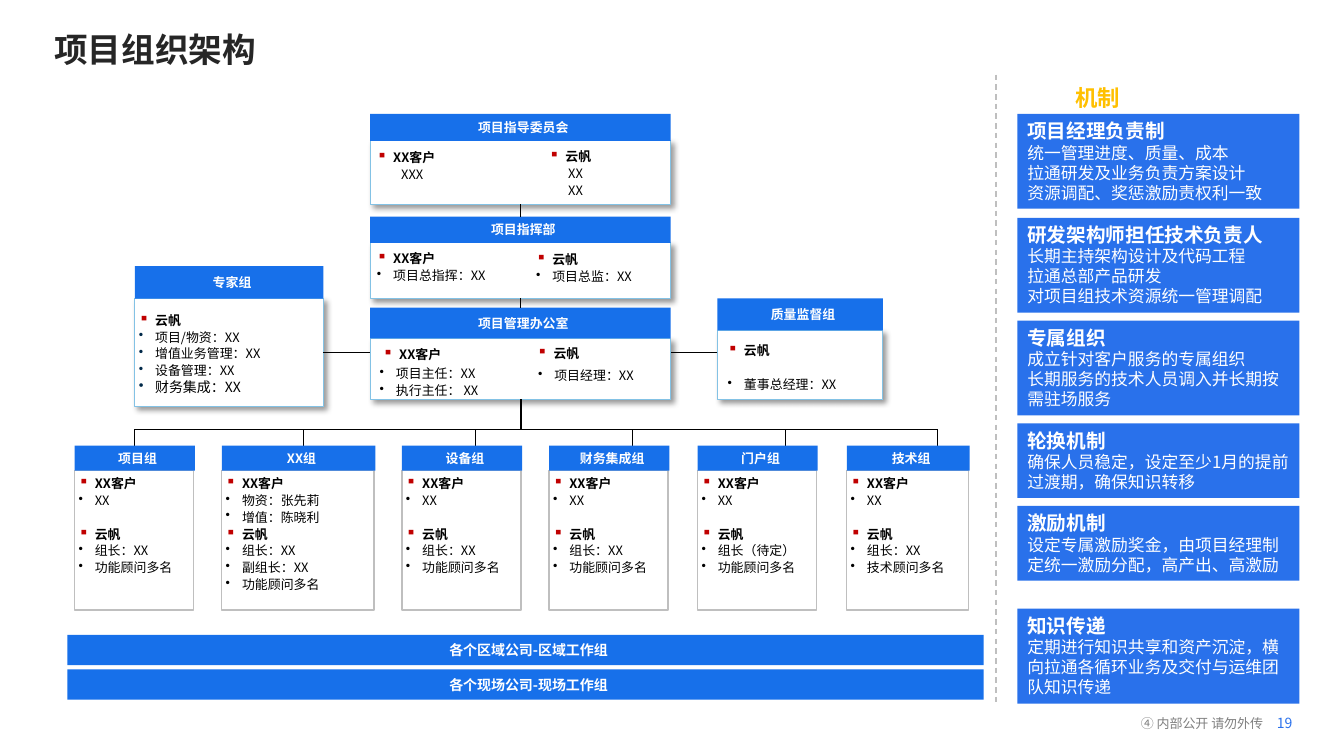
from lxml.etree import SubElement
from pptx import Presentation
from pptx.dml.color import RGBColor
from pptx.enum.dml import MSO_LINE
from pptx.enum.shapes import MSO_CONNECTOR as LINK, MSO_SHAPE
from pptx.enum.text import MSO_ANCHOR as ANCHOR, PP_ALIGN as ALIGN
from pptx.oxml.ns import qn
from pptx.util import Cm, Pt

FONT = "Noto Sans CJK SC"
HEADER_BLUE = RGBColor(0x17, 0x70, 0xEA)
CARD_BLUE = RGBColor(0x29, 0x71, 0xEB)
PAGE_BLUE = RGBColor(0x2A, 0x71, 0xEC)
EDGE_BLUE = RGBColor(0x83, 0xC2, 0xE5)
NAVY = RGBColor(0x00, 0x29, 0x49)
RED = RGBColor(0xC0, 0x00, 0x00)
GOLD = RGBColor(0xFF, 0xC0, 0x00)
BLACK = RGBColor(0x00, 0x00, 0x00)
INK = RGBColor(0x26, 0x26, 0x26)
GREY = RGBColor(0x80, 0x80, 0x80)
LIGHT_GREY = RGBColor(0xBF, 0xBF, 0xBF)
WHITE = RGBColor(0xFF, 0xFF, 0xFF)

ROW = Pt(12.1)
CLIENT, VENDOR = "XX客户", "云帆"
LEAD = ["组长：XX", "功能顾问多名"]
CENTRE_X, CENTRE_W = 9.33, 7.57

CARDS = [
    (2.87, 2.39, "项目经理负责制", ["统一管理进度、质量、成本", "拉通研发及业务负责方案设计", "资源调配、奖惩激励责权利一致"]),
    (5.49, 2.39, "研发架构师担任技术负责人", ["长期主持架构设计及代码工程", "拉通总部产品研发", "对项目组技术资源统一管理调配"]),
    (8.08, 2.39, "专属组织", ["成立针对客户服务的专属组织", "长期服务的技术人员调入并长期按需驻场服务"]),
    (10.67, 1.88, "轮换机制", ["确保人员稳定，设定至少1月的提前过渡期，确保知识转移"]),
    (12.75, 1.88, "激励机制", ["设定专属激励奖金，由项目经理制定统一激励分配，高产出、高激励"]),
    (15.34, 2.39, "知识传递", ["定期进行知识共享和资产沉淀，横向拉通各循环业务及交付与运维团队知识传递"]),
]
TEAMS = [
    ("项目组", 1.88, 3.0, ["XX"], LEAD, ROW),
    ("XX组", 5.59, 3.84, ["物资：张先莉", "增值：陈晓利"], ["组长：XX", "副组长：XX", "功能顾问多名"], 0),
    ("设备组", 10.13, 3.0, ["XX"], LEAD, ROW),
    ("财务集成组", 13.84, 3.0, ["XX"], LEAD, ROW),
    ("门户组", 17.58, 3.0, ["XX"], ["组长（待定）", "功能顾问多名"], ROW),
    ("技术组", 21.34, 3.07, ["XX"], ["组长：XX", "技术顾问多名"], ROW),
]


def add_run(paragraph, text, size, color, bold=False):
    """Add one run in the deck font, for Latin and Chinese alike."""
    run = paragraph.add_run()
    run.text = text
    run.font.size, run.font.bold = Pt(size), bold
    run.font.color.rgb = color
    run.font.name = FONT
    SubElement(run.font._element, qn("a:ea"), typeface=FONT)


def set_frame(frame, anchor, left, top, right, bottom):
    """Set wrapping, anchor and insets of a text frame."""
    frame.word_wrap = True
    frame.vertical_anchor = anchor
    frame.margin_left, frame.margin_top = Cm(left), Cm(top)
    frame.margin_right, frame.margin_bottom = Cm(right), Cm(bottom)


def add_box(slide, x, y, w, h, fill=None, edge=None, edge_width=0.75):
    """Add a flat rectangle."""
    box = slide.shapes.add_shape(MSO_SHAPE.RECTANGLE, Cm(x), Cm(y), Cm(w), Cm(h))
    box.shadow.inherit = False
    if fill is None:
        box.fill.background()
    else:
        box.fill.solid()
        box.fill.fore_color.rgb = fill
    if edge is None:
        box.line.fill.background()
    else:
        box.line.color.rgb = edge
        box.line.width = Pt(edge_width)
    return box


def add_header(slide, x, y, w, h, text, size=9.2):
    """Add a blue bar with a centred bold caption."""
    bar = add_box(slide, x, y, w, h, HEADER_BLUE)
    set_frame(bar.text_frame, ANCHOR.MIDDLE, 0.25, 0.1, 0.1, 0.1)
    caption = bar.text_frame.paragraphs[0]
    caption.alignment = ALIGN.CENTER
    add_run(caption, text, size, WHITE, True)
    return bar


def add_panel(slide, x, y, w, header_h, body_h, text):
    """Add a shadowed white body under a header; return both."""
    body = add_box(slide, x, y + header_h, w, body_h, WHITE, EDGE_BLUE)
    effects = body._element.spPr.find(qn("a:effectLst"))
    shadow = SubElement(effects, qn("a:outerShdw"), blurRad=str(Pt(4)), dist=str(Pt(3)),
                        dir="2700000", algn="tl", rotWithShape="0")
    tint = SubElement(shadow, qn("a:srgbClr"), val=str(BLACK))
    SubElement(tint, qn("a:alpha"), val="40000")
    return add_header(slide, x, y, w, header_h, text), body


def set_bullet(paragraph, mark, color, percent, indent=0.41):
    """Give a paragraph a coloured bullet on a hanging indent."""
    props = paragraph._p.get_or_add_pPr()
    props.set("marL", str(Cm(indent)))
    props.set("indent", str(-Cm(indent)))
    tint = SubElement(props, qn("a:buClr"))
    SubElement(tint, qn("a:srgbClr"), val=str(color))
    SubElement(props, qn("a:buSzPct"), val=str(percent * 1000))
    SubElement(props, qn("a:buChar"), char=mark)


def write_roster(frame, sections, gap=0, dot=BLACK, plain_indent=None):
    """Write (party, members) sections, with a gap between sections."""
    set_frame(frame, ANCHOR.TOP, 0.1, 0.08, 0.1, 0.08)
    rows = [(text, is_party, number > 0 and place == 0)
            for number, (party, members) in enumerate(sections)
            for place, (text, is_party) in enumerate(
                [(party, True)] * bool(party) + [(member, False) for member in members])]
    for index, (text, is_party, opens_section) in enumerate(rows):
        row = frame.add_paragraph() if index else frame.paragraphs[0]
        row.alignment = ALIGN.LEFT
        if is_party:
            set_bullet(row, "▪", RED, 110)
        elif plain_indent is None:
            set_bullet(row, "•", dot, 100)
        else:
            row._p.get_or_add_pPr().set("marL", str(Cm(plain_indent)))
        row.line_spacing = ROW
        if opens_section and gap:
            row.space_before = gap
        add_run(row, text, 9.2, BLACK, is_party)


def add_roster(slide, x, y, w, h, sections, **style):
    """Add a free-standing roster and return its frame."""
    frame = slide.shapes.add_textbox(Cm(x), Cm(y), Cm(w), Cm(h)).text_frame
    write_roster(frame, sections, **style)
    return frame


def add_label(slide, x, y, w, h, text, size, color, bold=False, align=ALIGN.LEFT, inset=0.0):
    """Add a single-line text box."""
    frame = slide.shapes.add_textbox(Cm(x), Cm(y), Cm(w), Cm(h)).text_frame
    set_frame(frame, ANCHOR.MIDDLE, inset, 0, inset, 0)
    frame.paragraphs[0].alignment = align
    add_run(frame.paragraphs[0], text, size, color, bold)


def add_line(slide, x1, y1, x2, y2, kind=LINK.STRAIGHT, color=BLACK, width=0.75):
    """Add a connector without shadow."""
    line = slide.shapes.add_connector(kind, Cm(x1), Cm(y1), Cm(x2), Cm(y2))
    line.line.color.rgb, line.line.width = color, Pt(width)
    SubElement(line._element.spPr, qn("a:effectLst"))
    return line


def add_descent(slide, upper, lower):
    """Join the foot of one box to the head of the next."""
    line = add_line(slide, 0, 0, 1, 1)
    line.begin_connect(upper, 2)
    line.end_connect(lower, 0)


def add_card(slide, y, h, heading, sentences):
    """Add one mechanism card."""
    frame = add_box(slide, 25.64, y, 7.11, h, CARD_BLUE).text_frame
    set_frame(frame, ANCHOR.TOP, 0.25, 0.13, 0.25, 0.13)
    for index, text in enumerate([heading] + sentences):
        size = 12 if index else 14
        row = frame.add_paragraph() if index else frame.paragraphs[0]
        row.alignment, row.line_spacing = ALIGN.LEFT, Pt(round(size * 1.19, 1))
        add_run(row, text, size, WHITE, index == 0)


def add_leadership(slide):
    """Add the committee, command, office, expert and quality panels with links."""
    _, committee = add_panel(slide, CENTRE_X, 2.87, CENTRE_W, 0.68, 1.6, "项目指导委员会")
    command_head, command = add_panel(slide, CENTRE_X, 5.46, CENTRE_W, 0.66, 1.4, "项目指挥部")
    office_head, _ = add_panel(slide, CENTRE_X, 7.75, CENTRE_W, 0.78, 1.55, "项目管理办公室")
    _, experts = add_panel(slide, 3.4, 6.71, 4.75, 0.82, 2.72, "专家组")
    add_panel(slide, 18.08, 7.52, 4.17, 0.81, 1.75, "质量监督组")
    add_descent(slide, committee, command_head)
    add_descent(slide, command, office_head)
    add_line(slide, 8.15, 8.89, CENTRE_X, 8.89).begin_connect(experts, 3)
    add_line(slide, 18.08, 8.89, CENTRE_X + CENTRE_W, 8.89)

    add_roster(slide, 9.4, 3.66, 4.3, 1.35, [(CLIENT, ["XXX"])], plain_indent=0.61)
    add_roster(slide, 13.74, 3.63, 3.0, 1.35, [(VENDOR, ["XX", "XX"])], plain_indent=0.48)
    add_roster(slide, 9.4, 6.2, 4.0, 1.2, [(CLIENT, ["项目总指挥：XX"])])
    add_roster(slide, 13.41, 6.22, 3.4, 1.2, [(VENDOR, ["项目总监：XX"])])
    add_roster(slide, 9.55, 8.61, 3.6, 0.5, [(CLIENT, [])])
    add_roster(slide, 13.44, 8.59, 3.4, 0.5, [(VENDOR, [])])
    add_roster(slide, 9.47, 9.09, 3.7, 0.95, [("", ["项目主任：XX", "执行主任： XX"])])
    add_roster(slide, 13.46, 9.14, 3.3, 0.5, [("", ["项目经理：XX"])])
    add_roster(slide, 18.24, 8.51, 3.9, 1.35, [(VENDOR, []), ("", ["董事总经理：XX"])], gap=ROW)
    expert_rows = add_roster(slide, 3.4, 7.75, 4.4, 2.4, [
        (VENDOR, ["项目/物资：XX", "增值业务管理：XX", "设备管理：XX", "财务集成：XX"])], dot=NAVY)
    expert_rows.paragraphs[-1].runs[0].font.size = Pt(10)


def add_teams(slide):
    """Add the branching lines and the six teams."""
    elbow = add_line(slide, 7.68, 5.78, 8.85, 15.51, LINK.ELBOW)
    elbow._element.spPr.find(qn("a:xfrm")).set("rot", "5400000")
    guides = elbow._element.spPr.find(qn("a:prstGeom")).find(qn("a:avLst"))
    SubElement(guides, qn("a:gd"), name="adj1", fmla="val 65600")
    add_line(slide, 4.19, 10.82, 23.62, 10.82)
    for x in (7.65, 11.99, 15.93, 19.79, 23.62):
        add_line(slide, x, 10.82, x, 11.3)
    for name, x, w, client_rows, vendor_rows, gap in TEAMS:
        body = add_box(slide, x, 11.86, w, 3.51, edge=LIGHT_GREY, edge_width=1)
        write_roster(body.text_frame, [(CLIENT, client_rows), (VENDOR, vendor_rows)], gap)
        add_header(slide, x, 11.23, w + 0.03, 0.63, name)


def main():
    """Build the project organisation slide."""
    deck = Presentation()
    deck.slide_width, deck.slide_height = Cm(33.87), Cm(19.05)
    slide = deck.slides.add_slide(deck.slide_layouts[5])
    title = slide.shapes.title
    title.left, title.top, title.width, title.height = Cm(1.12), Cm(0.58), Cm(26.92), Cm(1.3)
    set_frame(title.text_frame, ANCHOR.MIDDLE, 0.25, 0.13, 0.25, 0.13)
    title.text_frame.paragraphs[0].alignment = ALIGN.LEFT
    add_run(title.text_frame.paragraphs[0], "项目组织架构", 24, INK, True)

    divider = add_line(slide, 25.1, 1.88, 25.1, 17.78, color=LIGHT_GREY, width=1)
    divider.line.dash_style = MSO_LINE.DASH
    add_label(slide, 26.92, 2.03, 2.13, 0.86, "机制", 16, GOLD, True, inset=0.18)
    for card in CARDS:
        add_card(slide, *card)
    add_leadership(slide)
    add_teams(slide)
    for y, text in ((16.0, "各个区域公司-区域工作组"), (16.87, "各个现场公司-现场工作组")):
        add_header(slide, 1.7, y, 23.09, 0.76, text, 10)
    add_label(slide, 27.53, 17.98, 4.3, 0.48, "④ 内部公开 请勿外传", 9.3, GREY, align=ALIGN.RIGHT)
    add_label(slide, 32.18, 18.0, 0.75, 0.43, "19", 10, PAGE_BLUE)
    deck.save("out.pptx")


if __name__ == "__main__":
    main()
